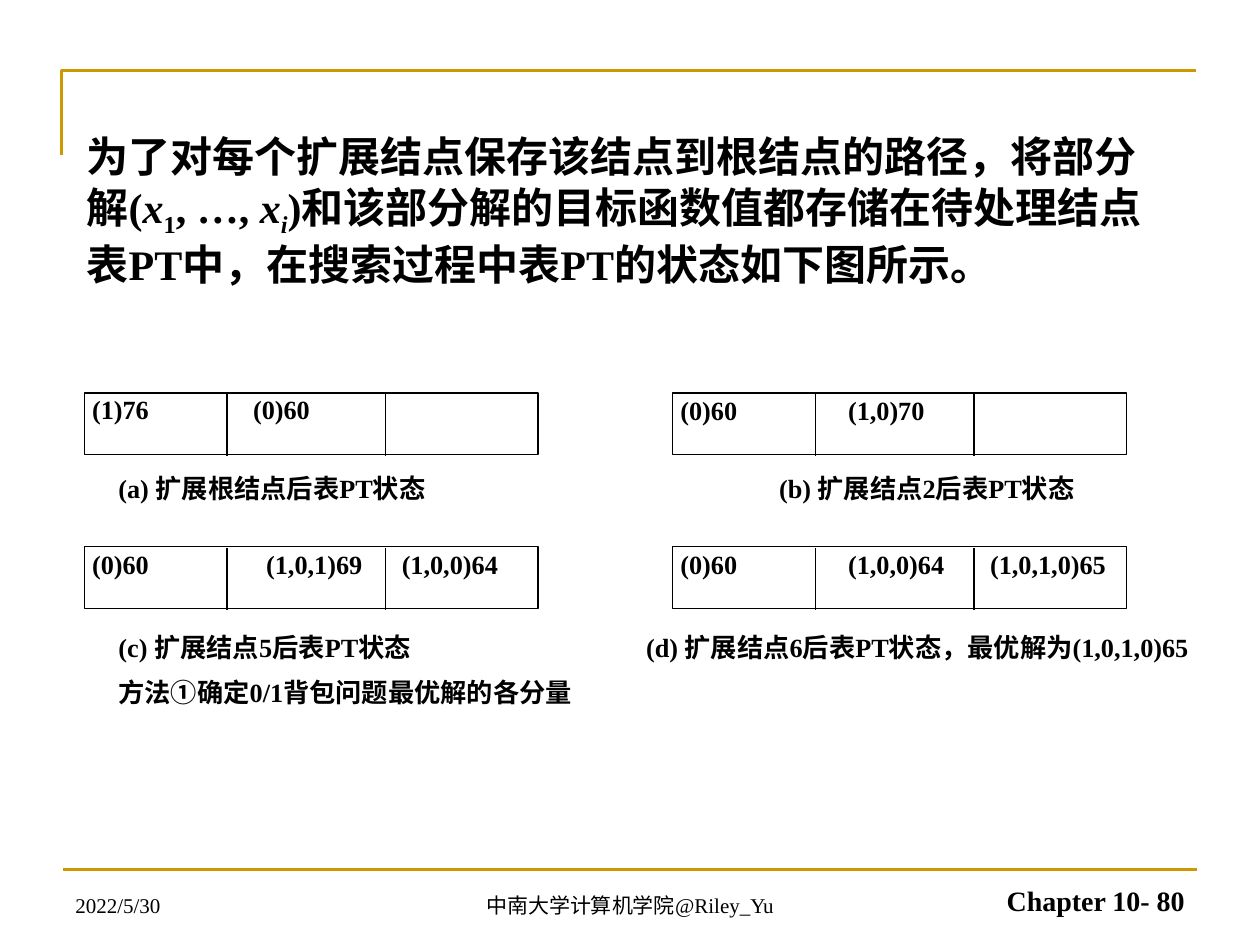
import pptx
import pptx.dml.color
import pptx.enum.shapes
import pptx.enum.text
import pptx.oxml.ns
import pptx.util
from lxml import etree

Pt = pptx.util.Pt
ALIGN = pptx.enum.text.PP_ALIGN
ANCHOR = pptx.enum.text.MSO_ANCHOR
BLACK = pptx.dml.color.RGBColor(0x00, 0x00, 0x00)
GOLD = pptx.dml.color.RGBColor(0xCC, 0x99, 0x00)
FONT = "Times New Roman"

LEFT_TABLE, RIGHT_TABLE = 48.3, 384.5
UPPER_ROW, LOWER_ROW = 224.6, 312.4
TABLE_WIDTH, TABLE_HEIGHT = 259.2, 35.3
DIVIDERS = (81.4, 172.1)
CAPTION_LEFT = 67.7

STATES = [
    (RIGHT_TABLE, LOWER_ROW, ["(0)60", "(1,0,0)64", "(1,0,1,0)65"], [95.8, 177], 1.04),
    (LEFT_TABLE, LOWER_ROW, ["(0)60", "(1,0,1)69", "(1,0,0)64"], [99.5, 177], 1.04),
    (LEFT_TABLE, UPPER_ROW, ["(1)76", "(0)60"], [92], 1),
    (RIGHT_TABLE, UPPER_ROW, ["(0)60", "(1,0)70"], [95.8], 1.04),
]

EXPLANATION = [
    ("为了对每个扩展结点保存该结点到根结点的路径，将部分解(", False, False),
    ("x", True, False),
    ("1", False, True),
    (", …, ", False, False),
    ("x", True, False),
    ("i", True, True),
    (")和该部分解的目标函数值都存储在待处理结点表PT中，"
     "在搜索过程中表PT的状态如下图所示。", False, False),
]


def add_run(paragraph, text, size, bold=True, italic=False, subscript=False):
    run = paragraph.add_run()
    run.text = text
    font = run.font
    font.name, font.size, font.bold, font.italic = FONT, Pt(size), bold, italic
    font.color.rgb = BLACK
    if subscript:
        font._element.set("baseline", "-25000")


def add_tabbed(paragraph, columns, tabs):
    properties = paragraph._p.get_or_add_pPr()
    tab_list = etree.SubElement(properties, pptx.oxml.ns.qn("a:tabLst"))
    for position in tabs:
        etree.SubElement(tab_list, pptx.oxml.ns.qn("a:tab"),
                         pos=str(int(Pt(position))), algn="l")
    paragraph.alignment = ALIGN.JUSTIFY
    add_run(paragraph, "\t".join(columns), 15)


def set_insets(frame, left=0):
    frame.margin_left = Pt(left)
    frame.margin_top = frame.margin_right = frame.margin_bottom = 0


def add_text_frame(slide, left, top, width, height):
    frame = slide.shapes.add_textbox(Pt(left), Pt(top), Pt(width), Pt(height)).text_frame
    frame.word_wrap = True
    return frame


def add_rule(slide, x1, y1, x2, y2, color, weight):
    rule = slide.shapes.add_connector(pptx.enum.shapes.MSO_CONNECTOR.STRAIGHT,
                                      Pt(x1), Pt(y1), Pt(x2), Pt(y2))
    rule.line.color.rgb = color
    rule.line.width = Pt(weight)
    etree.SubElement(rule._element.spPr, pptx.oxml.ns.qn("a:effectLst"))


def style_outline(shape, color, weight):
    shape.shadow.inherit = False
    shape.fill.background()
    shape.line.color.rgb = color
    shape.line.width = Pt(weight)


def add_page_frame(slide):
    builder = slide.shapes.build_freeform(Pt(35.3), Pt(88.6))
    builder.add_line_segments([(Pt(35.3), Pt(40.3)), (Pt(683.3), Pt(40.3))], close=False)
    style_outline(builder.convert_to_shape(), GOLD, 1.5)
    add_rule(slide, 36, 496.8, 684, 496.8, GOLD, 1.5)


def add_state(slide, left, top, entries, tabs, spacing):
    table = slide.shapes.add_shape(pptx.enum.shapes.MSO_SHAPE.RECTANGLE, Pt(left), Pt(top),
                                   Pt(TABLE_WIDTH), Pt(TABLE_HEIGHT))
    style_outline(table, BLACK, 0.75)
    frame = table.text_frame
    frame.word_wrap = True
    frame.vertical_anchor = ANCHOR.TOP
    set_insets(frame, 4.3)
    add_tabbed(frame.paragraphs[0], entries, tabs)
    frame.paragraphs[0].line_spacing = spacing
    for offset in DIVIDERS:
        add_rule(slide, left + offset, top + 0.8, left + offset,
                 top + 0.8 + TABLE_HEIGHT, BLACK, 0.75)


def add_captions(slide, top, width, height, captions, tab):
    frame = add_text_frame(slide, CAPTION_LEFT, top, width, height)
    set_insets(frame)
    add_tabbed(frame.paragraphs[0], captions, [tab])
    return frame


def add_explanation(slide):
    frame = add_text_frame(slide, 42.5, 71.3, 629.3, 94.3)
    for text, italic, subscript in EXPLANATION:
        add_run(frame.paragraphs[0], text, 24, italic=italic, subscript=subscript)


def add_footer(slide, left, width, text, align, size=12, bold=False):
    frame = add_text_frame(slide, left, 491.8, width, 36)
    frame.vertical_anchor = ANCHOR.BOTTOM
    frame.paragraphs[0].alignment = align
    add_run(frame.paragraphs[0], text, size, bold)


def main():
    deck = pptx.Presentation()
    deck.slide_width, deck.slide_height = Pt(720), Pt(540)
    slide = deck.slides.add_slide(deck.slide_layouts[6])

    add_page_frame(slide)
    for state in STATES:
        add_state(slide, *state)

    add_captions(slide, 270, 585.4, 37.4,
                 ["(a) 扩展根结点后表PT状态", "(b) 扩展结点2后表PT状态"], 377.5)
    lower_captions = add_captions(
        slide, 360.7, 637.9, 96.5,
        ["(c) 扩展结点5后表PT状态", "(d) 扩展结点6后表PT状态，最优解为(1,0,1,0)65"], 301.5)
    method = lower_captions.add_paragraph()
    method.alignment = ALIGN.JUSTIFY
    method.space_before = Pt(7.8)
    add_run(method, "方法①确定0/1背包问题最优解的各分量", 15)

    add_explanation(slide)
    add_footer(slide, 36, 168, "2022/5/30", ALIGN.LEFT)
    add_footer(slide, 246, 228, "中南大学计算机学院@Riley_Yu", ALIGN.CENTER)
    add_footer(slide, 516, 168, "Chapter 10- 80", ALIGN.RIGHT, 16, True)
    deck.save("out.pptx")


if __name__ == "__main__":
    main()
